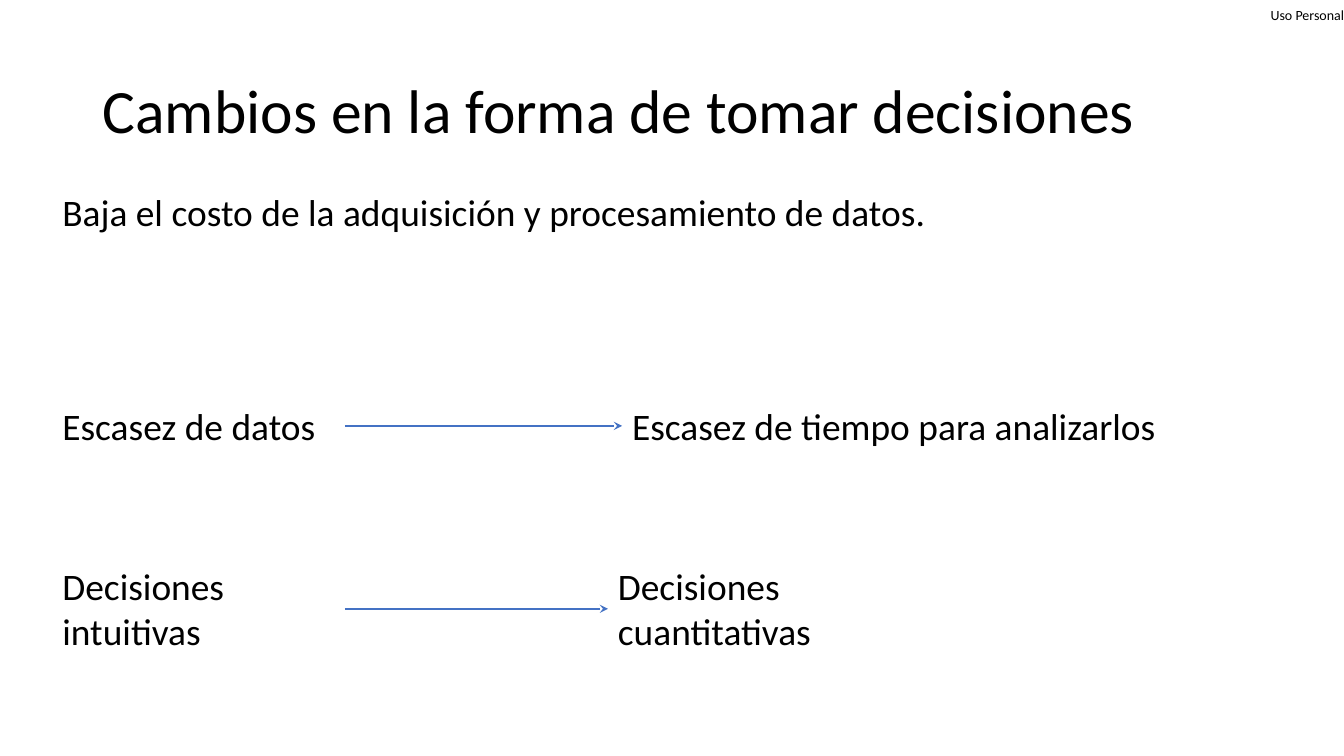
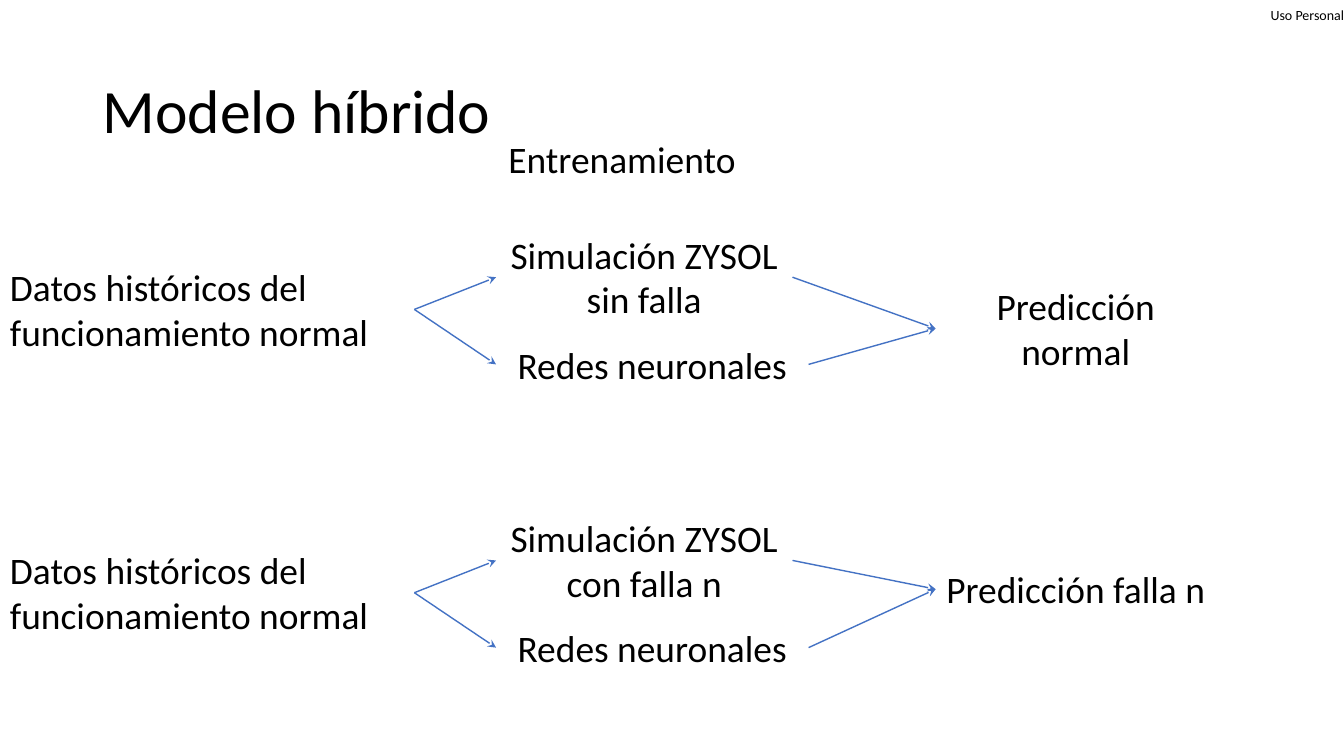
from lxml import etree
from pptx import Presentation
from pptx.dml.color import RGBColor
from pptx.enum import shapes, text
from pptx.oxml.ns import qn
from pptx.util import Inches, Pt

BLACK = RGBColor(0x00, 0x00, 0x00)
BLUE = RGBColor(0x44, 0x72, 0xC4)
FONT = "Calibri"
BODY_SIZE = 26.7
LEFT, CENTER, RIGHT = text.PP_ALIGN.LEFT, text.PP_ALIGN.CENTER, text.PP_ALIGN.RIGHT
MIDDLE = text.MSO_ANCHOR.MIDDLE
LEFT_SIDE, RIGHT_SIDE = 1, 3
ONE_LINE, TWO_LINES = 0.55, 1

CLASSIFICATION = "Uso Personal"

DECISIONS_TITLE = "Cambios en la forma de tomar decisiones"
DECISIONS_INTRO = "Baja el costo de la adquisición y procesamiento de datos."
# before, after, left of after, width of after, top, height
CHANGES = [
    ("Escasez de datos", "Escasez de tiempo para analizarlos", 6.17, 5.48, 3.95, ONE_LINE),
    ("Decisiones intuitivas", "Decisiones cuantitativas", 6.03, 2.44, 5.54, TWO_LINES),
]

MODEL_TITLE = "Modelo híbrido"
MODEL_STAGE = "Entrenamiento"
HISTORY = "Datos históricos del funcionamiento normal"
NETWORKS = "Redes neuronales"
# simulation lines, prediction, height of prediction
FLOWS = [
    (["Simulación ZYSOL", "sin falla"], "Predicción normal", TWO_LINES),
    (["Simulación ZYSOL", "con falla n"], "Predicción falla n", ONE_LINE),
]
FLOW_TOP, FLOW_PITCH = 2.25, 2.81


def add_text(slide, lines, left, top, width, height, size=BODY_SIZE, align=LEFT,
             anchor=text.MSO_ANCHOR.TOP, grow=True, spacing=None, padded=True):
    box = slide.shapes.add_textbox(Inches(left), Inches(top), Inches(width), Inches(height))
    frame = box.text_frame
    frame.word_wrap = True
    frame.auto_size = (text.MSO_AUTO_SIZE.SHAPE_TO_FIT_TEXT if grow
                       else text.MSO_AUTO_SIZE.NONE)
    frame.vertical_anchor = anchor
    if not padded:
        frame.margin_left = frame.margin_right = frame.margin_top = frame.margin_bottom = 0
    for index, line in enumerate(lines):
        paragraph = frame.add_paragraph() if index else frame.paragraphs[0]
        paragraph.alignment = align
        if spacing:
            paragraph.line_spacing = spacing
        run = paragraph.add_run()
        run.text = line
        run.font.name = FONT
        run.font.size = Pt(size)
        run.font.color.rgb = BLACK
    return box


def add_arrow(slide, source, target):
    """Join the right side of source to the left side of target."""
    connector = slide.shapes.add_connector(shapes.MSO_CONNECTOR.STRAIGHT, 0, 0, 0, 0)
    connector.begin_connect(source, RIGHT_SIDE)
    connector.end_connect(target, LEFT_SIDE)
    connector.line.color.rgb = BLUE
    connector.line.width = Pt(1)
    etree.SubElement(connector.line._get_or_add_ln(), qn("a:tailEnd"), type="stealth")
    etree.SubElement(connector._element.spPr, qn("a:effectLst"))


def add_titled_slide(presentation, title):
    slide = presentation.slides.add_slide(presentation.slide_layouts[6])
    add_text(slide, [CLASSIFICATION], 12.29, 0, 1.04, 0.29, size=10, align=RIGHT,
             anchor=MIDDLE, padded=False)
    add_text(slide, [title], 0.92, 0.4, 11.5, 1.45, size=44, anchor=MIDDLE,
             grow=False, spacing=0.9)
    return slide


def build_decisions(presentation):
    slide = add_titled_slide(presentation, DECISIONS_TITLE)
    add_text(slide, [DECISIONS_INTRO], 0.52, 1.83, 10.79, ONE_LINE)
    for before, after, after_left, after_width, top, height in CHANGES:
        source = add_text(slide, [before], 0.52, top, 2.9, height)
        target = add_text(slide, [after], after_left, top, after_width, height)
        add_arrow(slide, source, target)


def build_model(presentation):
    slide = add_titled_slide(presentation, MODEL_TITLE)
    add_text(slide, [MODEL_STAGE], 2.88, 1.3, 6.58, ONE_LINE, align=CENTER)
    for index, (simulation_lines, outcome, outcome_height) in enumerate(FLOWS):
        top = FLOW_TOP + index * FLOW_PITCH
        history = add_text(slide, [HISTORY], 0, top + 0.32, 4.11, TWO_LINES)
        simulation = add_text(slide, simulation_lines, 4.92, top, 2.94, TWO_LINES, align=CENTER)
        networks = add_text(slide, [NETWORKS], 4.92, top + 1.09, 3.1, ONE_LINE, align=CENTER)
        prediction = add_text(slide, [outcome], 9.28, top + 0.51, 2.78, outcome_height,
                              align=CENTER)
        for method in (simulation, networks):
            add_arrow(slide, history, method)
            add_arrow(slide, method, prediction)


def main():
    presentation = Presentation()
    presentation.slide_width = Inches(13.33)
    presentation.slide_height = Inches(7.5)
    build_decisions(presentation)
    build_model(presentation)
    presentation.save("out.pptx")


if __name__ == "__main__":
    main()
